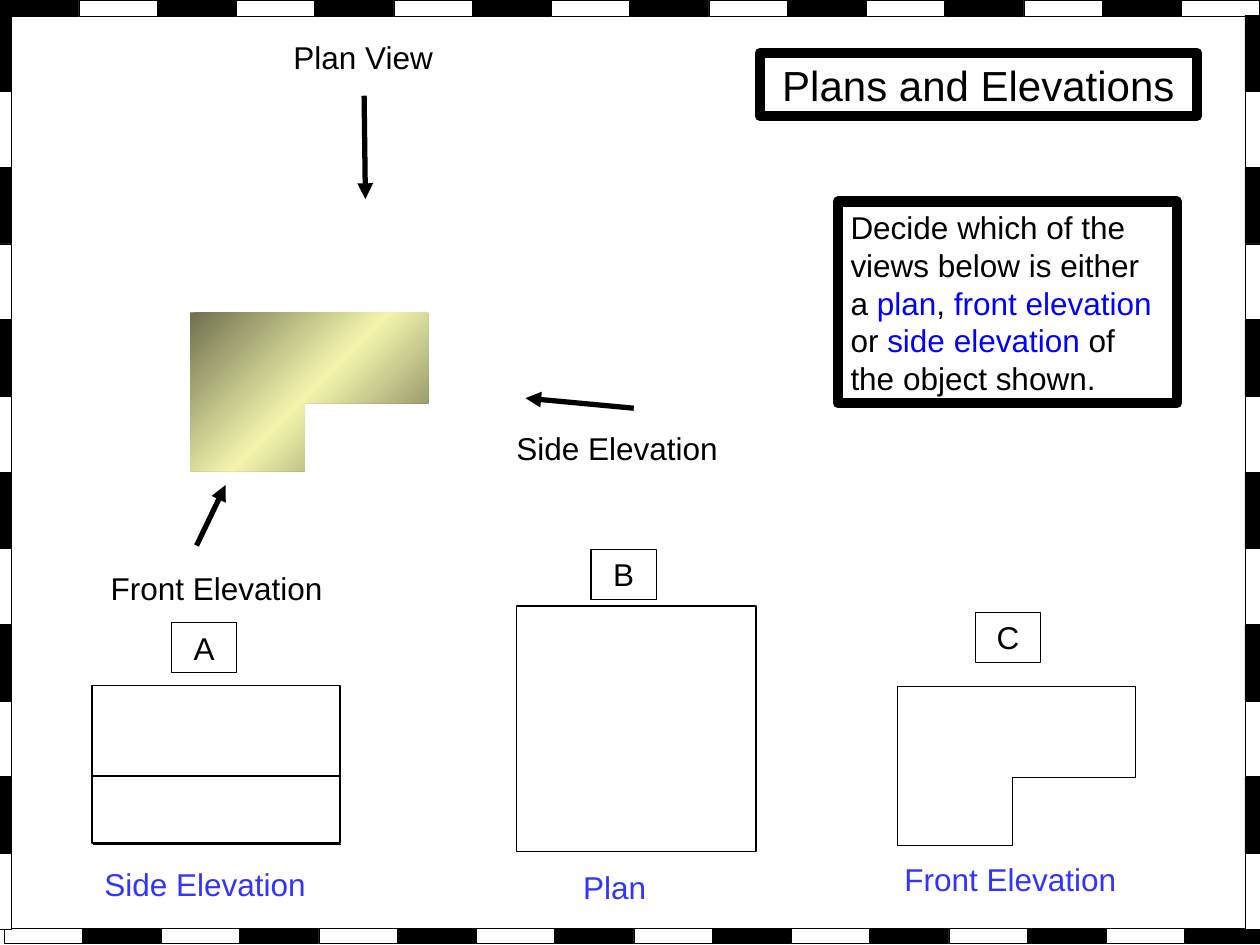
from copy import deepcopy
from typing import NamedTuple

from lxml.etree import SubElement
from pptx import Presentation
from pptx.dml.color import RGBColor
from pptx.enum.shapes import MSO_CONNECTOR, MSO_SHAPE
from pptx.enum.text import MSO_ANCHOR, MSO_AUTO_SIZE, PP_ALIGN
from pptx.oxml.ns import qn
from pptx.util import Inches, Pt

BLACK = RGBColor(0x00, 0x00, 0x00)
WHITE = RGBColor(0xFF, 0xFF, 0xFF)
BLUE = RGBColor(0x00, 0x00, 0xFF)
VIOLET = RGBColor(0x33, 0x33, 0xFF)
OLIVE = RGBColor(0x70, 0x70, 0x4F)
CREAM = RGBColor(0xF3, 0xF5, 0xAD)


class Box(NamedTuple):
    left: float
    top: float
    width: float
    height: float


class Label(NamedTuple):
    text: str
    box: Box
    color: RGBColor = BLACK


class Line(NamedTuple):
    start: tuple[float, float]
    end: tuple[float, float]
    width: float = 0.75
    arrow: bool = False


class Strip(NamedTuple):
    """A row or column of tiles that alternate in colour."""
    first: Box
    count: int
    right: float
    down: float
    colors: tuple[RGBColor, RGBColor]


LABELS = [
    Label("Plan View", Box(2.23, 0.25, 1.4, 0.4)),
    Label("Side Elevation", Box(4, 3.36, 1.95, 0.4)),
    Label("Front Elevation", Box(0.78, 4.47, 1.95, 0.4)),
    Label("Side Elevation", Box(0.73, 6.82, 2.23, 0.4), VIOLET),
    Label("Plan", Box(4.53, 6.84, 2.23, 0.4), VIOLET),
    Label("Front Elevation", Box(7.08, 6.78, 2.23, 0.4), VIOLET),
]
TAGS = [
    Label("A", Box(1.36, 4.94, 0.52, 0.4)),
    Label("B", Box(4.69, 4.36, 0.52, 0.4)),
    Label("C", Box(7.74, 4.86, 0.52, 0.4)),
]
LINES = [
    Line((2.89, 0.76), (2.9, 1.58), 3, True),
    Line((5.03, 3.24), (4.17, 3.16), 3, True),
    Line((1.56, 4.33), (1.79, 3.85), 3, True),
    Line((0.74, 6.16), (2.7, 6.16)),
    Line((0.74, 6.7), (2.71, 6.7)),
]
VIEWS = [Box(0.73, 5.44, 1.97, 1.25), Box(4.1, 4.81, 1.9, 1.95)]
STRIPS = [
    Strip(Box(0, 0, 0.62, 0.13), 16, 0.625, 0, (BLACK, WHITE)),
    Strip(Box(0.03, 7.37, 0.62, 0.12), 16, 0.625, 0, (WHITE, BLACK)),
    Strip(Box(9.88, 0.12, 0.12, 0.6), 12, 0, 0.605, (BLACK, WHITE)),
    Strip(Box(-0.03, 0.12, 0.12, 0.6), 12, 0, 0.605, (BLACK, WHITE)),
]
ELL = [(1.89, 0), (0, 0), (0, 1.26), (0.91, 1.26), (0.91, 0.72), (1.89, 0.72)]
TASK = [
    ("Decide which of the views below is either a ", BLACK),
    ("plan", BLUE), (", ", BLACK), ("front elevation", BLUE),
    (" or ", BLACK), ("side elevation", BLUE),
    (" of the object shown.", BLACK),
]


def size(box: Box) -> list:
    return [Inches(n) for n in box]


def write(shape, runs, points: float = 18, align=PP_ALIGN.LEFT) -> None:
    frame = shape.text_frame
    frame.word_wrap = True
    frame.auto_size = MSO_AUTO_SIZE.NONE
    frame.vertical_anchor = MSO_ANCHOR.TOP
    para = frame.paragraphs[0]
    para.alignment = align
    para.space_before = Pt(0)
    for text, color in runs:
        run = para.add_run()
        run.text = text
        run.font.name = "Arial"
        run.font.size = Pt(points)
        run.font.color.rgb = color


def edge(shape, width: float) -> None:
    shape.line.color.rgb = BLACK
    shape.line.width = Pt(width)


def add_rect(slide, box: Box, width: float = 0.75, fill=None):
    rect = slide.shapes.add_shape(MSO_SHAPE.RECTANGLE, *size(box))
    rect.shadow.inherit = False
    if fill is None:
        rect.fill.background()
    else:
        rect.fill.solid()
        rect.fill.fore_color.rgb = fill
    edge(rect, width)
    return rect


def add_strip(slide, strip: Strip) -> None:
    for i in range(strip.count):
        box = strip.first._replace(left=strip.first.left + i * strip.right,
                                   top=strip.first.top + i * strip.down)
        add_rect(slide, box, 0.25, strip.colors[i % 2])


def add_line(slide, line: Line) -> None:
    ends = [Inches(n) for n in (*line.start, *line.end)]
    link = slide.shapes.add_connector(MSO_CONNECTOR.STRAIGHT, *ends)
    edge(link, line.width)
    if line.arrow:
        SubElement(link.line._get_or_add_ln(), qn("a:tailEnd"), type="triangle")
    SubElement(link._element.spPr, qn("a:effectLst"))


def add_ell(slide, left: float, top: float):
    points = [(Inches(left + x), Inches(top + y)) for x, y in ELL]
    pen = slide.shapes.build_freeform(*points[0])
    pen.add_line_segments(points[1:], close=True)
    shape = pen.convert_to_shape()
    shape.shadow.inherit = False
    return shape


def shade(shape) -> None:
    """Fill with a diagonal gradient, dark at both corners."""
    fill = shape.fill
    fill.gradient()
    fill.gradient_angle = 315
    first = fill.gradient_stops[0]._gs
    first.addnext(deepcopy(first))
    for stop, at, color in zip(fill.gradient_stops, (0, 0.5, 1),
                               (OLIVE, CREAM, OLIVE)):
        stop.position = at
        stop.color.rgb = color


def place(holder, box: Box) -> None:
    holder.left, holder.top, holder.width, holder.height = size(box)
    edge(holder, 6)


def main() -> None:
    deck = Presentation()
    deck.slide_width, deck.slide_height = Inches(10), Inches(7.5)
    slide = deck.slides.add_slide(deck.slide_layouts[1])

    title, body = slide.shapes.title, slide.placeholders[1]
    place(title, Box(6.03, 0.42, 3.47, 0.5))
    write(title, [("Plans and Elevations", BLACK)], 24, PP_ALIGN.CENTER)
    place(body, Box(6.65, 1.6, 2.69, 1.6))
    props = body.text_frame.paragraphs[0]._p.get_or_add_pPr()
    props.set("marL", "0")
    props.set("indent", "0")
    SubElement(props, qn("a:buNone"))
    write(body, TASK)

    for strip in STRIPS:
        add_strip(slide, strip)
    solid = add_ell(slide, 1.51, 2.48)
    shade(solid)
    solid.line.fill.background()
    front = add_ell(slide, 7.12, 5.45)
    front.fill.background()
    edge(front, 0.25)
    for view in VIEWS:
        add_rect(slide, view)
    for line in LINES:
        add_line(slide, line)
    for label in LABELS:
        write(slide.shapes.add_textbox(*size(label.box)),
              [(label.text, label.color)])
    for tag in TAGS:
        write(add_rect(slide, tag.box), [(tag.text, tag.color)],
              align=PP_ALIGN.CENTER)
    deck.save("out.pptx")


if __name__ == "__main__":
    main()
